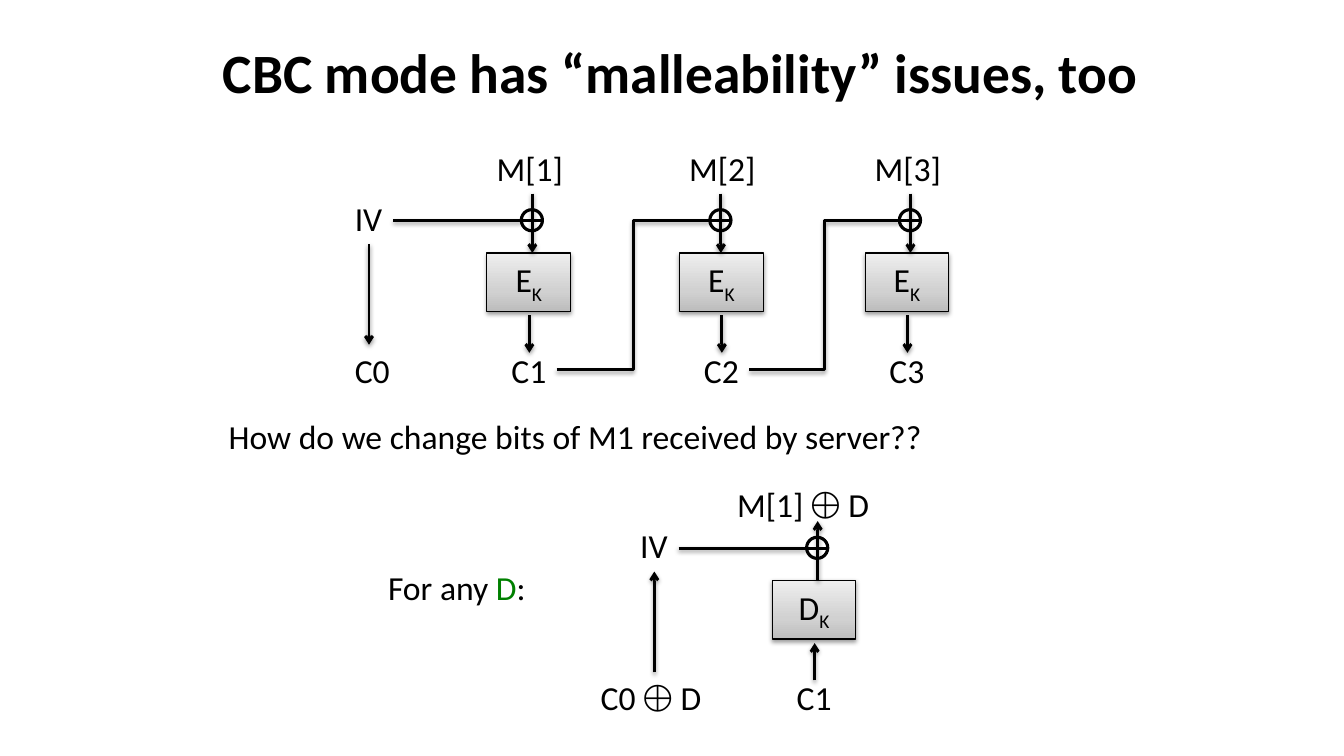
from pptx import Presentation
from pptx.dml.color import RGBColor
from pptx.enum.shapes import MSO_CONNECTOR, MSO_SHAPE
from pptx.enum.text import MSO_ANCHOR, MSO_AUTO_SIZE, PP_ALIGN
from pptx.oxml import parse_xml
from pptx.oxml.ns import nsdecls, qn
from pptx.util import Emu, Pt

EMU_PER_PX = 9144  # 100 px to the inch
BOX_WIDTH, BOX_HEIGHT = 83, 58
XOR_SIZE = 21
BLACK, GREEN = "000000", "008000"
BOX_GRADIENT = [(0, "BDBDBD"), (35, "D1D1D1"), (100, "EEEEEE")]


def px(value):
    return Emu(value * EMU_PER_PX)


def color(hex_string):
    return RGBColor.from_string(hex_string)


def write(para, text, size=24, font="Calibri", fill=BLACK, bold=False, subscript=False):
    span = para.add_run()
    span.text = text
    span.font.size = Pt(size)
    span.font.name = font
    span.font.bold = bold
    span.font.color.rgb = color(fill)
    if subscript:
        span.font._element.set("baseline", "-25000")


def write_xor_d(para, text):
    """Write the text followed by the sign for XOR and D."""
    write(para, text + " ")
    write(para, "⨁ ", font="Times New Roman")
    write(para, "D")


def set_shadow(shape, visible):
    shadow = (
        '<a:outerShdw blurRad="40000" dist="20000" dir="5400000" rotWithShape="0">'
        '<a:srgbClr val="000000"><a:alpha val="38000"/></a:srgbClr></a:outerShdw>'
    )
    effects = f'<a:effectLst {nsdecls("a")}>{shadow if visible else ""}</a:effectLst>'
    shape._element.spPr.append(parse_xml(effects))


class CipherSlide:
    def __init__(self, deck):
        self.page = deck.slides.add_slide(deck.slide_layouts[5])

    def title(self, text, left, top, width, height):
        box = self.page.shapes.title
        box.left, box.top, box.width, box.height = map(px, (left, top, width, height))
        box.text_frame.vertical_anchor = MSO_ANCHOR.MIDDLE
        para = box.text_frame.paragraphs[0]
        para.alignment = PP_ALIGN.CENTER
        write(para, text, size=39.6, bold=True)

    def label(self, left, top, width, text="", align=PP_ALIGN.LEFT):
        """Add a one-line text box and return its paragraph."""
        box = self.page.shapes.add_textbox(px(left), px(top), px(width), px(50))
        box.text_frame.word_wrap = False
        box.text_frame.auto_size = MSO_AUTO_SIZE.SHAPE_TO_FIT_TEXT
        para = box.text_frame.paragraphs[0]
        para.alignment = align
        if text:
            write(para, text)
        return para

    def line(self, start, end, kind=MSO_CONNECTOR.STRAIGHT, width=2, arrow=False, shadow=True):
        connector = self.page.shapes.add_connector(kind, *map(px, start + end))
        connector.line.width = Pt(width)
        connector.line.color.rgb = color(BLACK)
        if arrow:
            head = parse_xml(f'<a:tailEnd {nsdecls("a")} type="arrow"/>')
            connector._element.spPr.find(qn("a:ln")).append(head)
        set_shadow(connector, shadow)

    def cipher_box(self, center, top, letter):
        box = self.page.shapes.add_shape(
            MSO_SHAPE.RECTANGLE, px(center - 42), px(top), px(BOX_WIDTH), px(BOX_HEIGHT))
        box.line.color.rgb = color(BLACK)
        box.line.width = Pt(0.75)
        stops = "".join(
            f'<a:gs pos="{position * 1000}"><a:srgbClr val="{shade}"/></a:gs>'
            for position, shade in BOX_GRADIENT)
        gradient = parse_xml(
            f'<a:gradFill {nsdecls("a")} rotWithShape="1"><a:gsLst>{stops}</a:gsLst>'
            '<a:lin ang="16200000" scaled="0"/></a:gradFill>')
        box._element.spPr.find(qn("a:ln")).addprevious(gradient)
        set_shadow(box, True)
        box.text_frame.vertical_anchor = MSO_ANCHOR.MIDDLE
        para = box.text_frame.paragraphs[0]
        para.alignment = PP_ALIGN.CENTER
        write(para, letter)
        write(para, "K", subscript=True)

    def xor_sign(self, x, y):
        left = x - 11
        circle = self.page.shapes.add_shape(
            MSO_SHAPE.OVAL, px(left), px(y - 11), px(XOR_SIZE), px(XOR_SIZE))
        circle.fill.background()
        circle.line.color.rgb = color(BLACK)
        circle.line.width = Pt(2.25)
        circle.shadow.inherit = False
        self.line((left, y), (left + XOR_SIZE, y), width=2.25, shadow=False)

    def stage(self, center, xor_x, top, letter, cipher_text, upward=False):
        """Draw one block cipher call with its XOR above and cipher text below."""
        self.cipher_box(center, top, letter)
        for x, start, end in [(xor_x, top - 59, top), (center, top + 62, top + 99)]:
            ends = [(x, start), (x, end)]
            if upward:
                ends.reverse()
            self.line(*ends, arrow=True)
        self.xor_sign(xor_x, top - 32)
        self.label(center - 28, top + 91, 55, cipher_text, PP_ALIGN.CENTER)

    def initial_vector(self, left, top, xor_x, upward=False):
        """Draw IV, its line to the XOR and its arrow to or from C0."""
        self.label(left, top - 60, 48, "IV")
        self.line((left + 48, top - 32), (xor_x - 11, top - 32))
        ends = [(left + 24, top - 9), (left + 24, top + 91)]
        if upward:
            ends.reverse()
        self.line(*ends, arrow=True)


def main():
    deck = Presentation()
    deck.slide_width, deck.slide_height = px(1333), px(750)
    slide = CipherSlide(deck)
    slide.title("CBC mode has “malleability” issues, too", 200, 8, 950, 125)

    encrypt_top = 251
    columns = [(525, 528), (716, 715), (900, 903)]  # box centre, XOR centre
    for number, (center, xor_x) in enumerate(columns, 1):
        slide.stage(center, xor_x, encrypt_top, "E", f"C{number}")
        slide.label(center - 43, 142, 87, f"M[{number}]", PP_ALIGN.CENTER)
    for (center, _), (_, next_xor) in zip(columns, columns[1:]):
        slide.line((center + 27, 367), (next_xor - 11, encrypt_top - 32), MSO_CONNECTOR.ELBOW)
    slide.initial_vector(342, encrypt_top, columns[0][1])
    slide.label(342, encrypt_top + 91, 55, "C0")

    slide.label(217, 408, 716, "How do we change bits of M1 received by server??")

    decrypt_top, decrypt_xor = 576, 811
    slide.stage(808, decrypt_xor, decrypt_top, "D", "C1", upward=True)
    slide.initial_vector(625, decrypt_top, decrypt_xor, upward=True)
    write_xor_d(slide.label(721, 475, 151, align=PP_ALIGN.CENTER), "M[1]")
    write_xor_d(slide.label(586, decrypt_top + 91, 127), "C0")
    para = slide.label(375, 558, 159, "For any ")
    write(para, "D", fill=GREEN)
    write(para, ":")

    deck.save("out.pptx")


if __name__ == "__main__":
    main()
